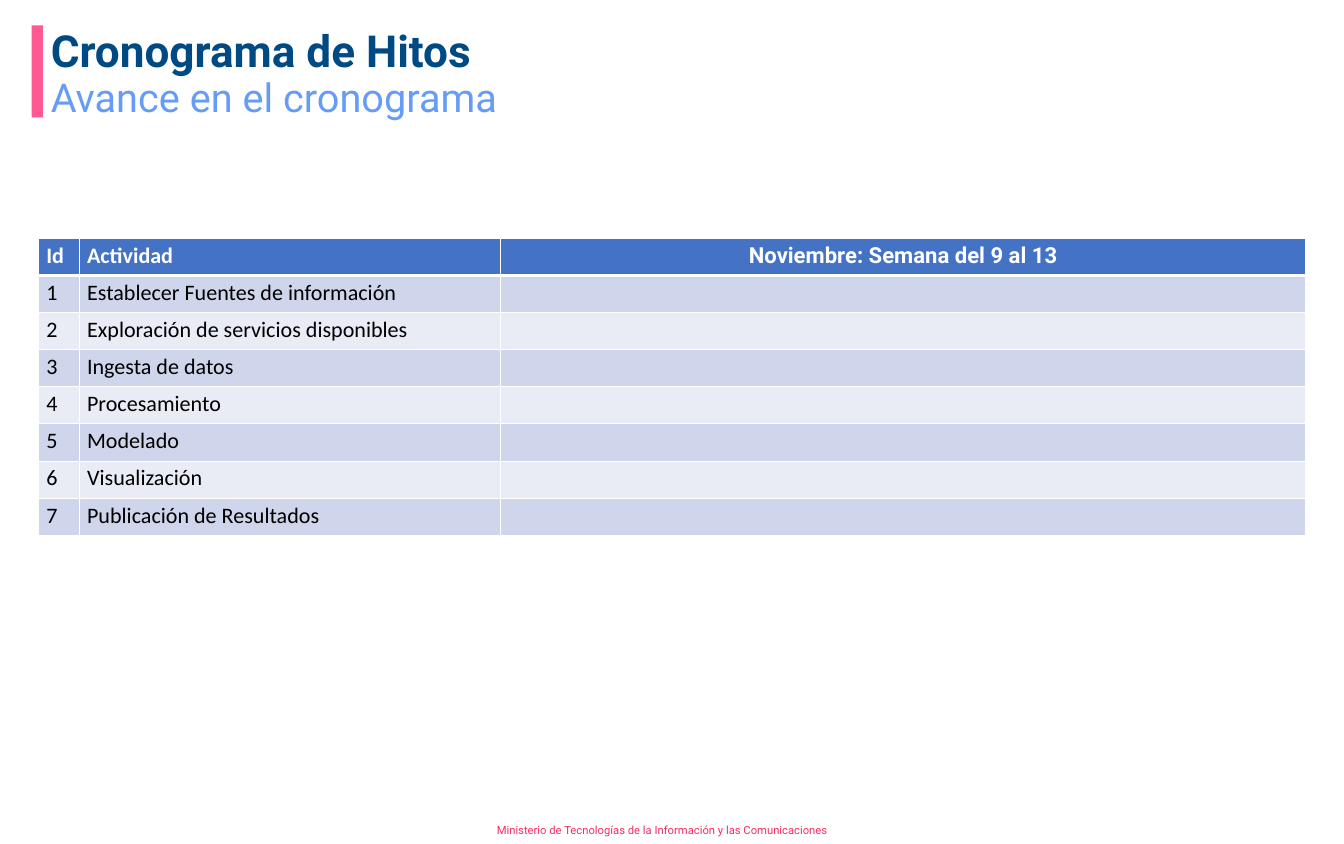
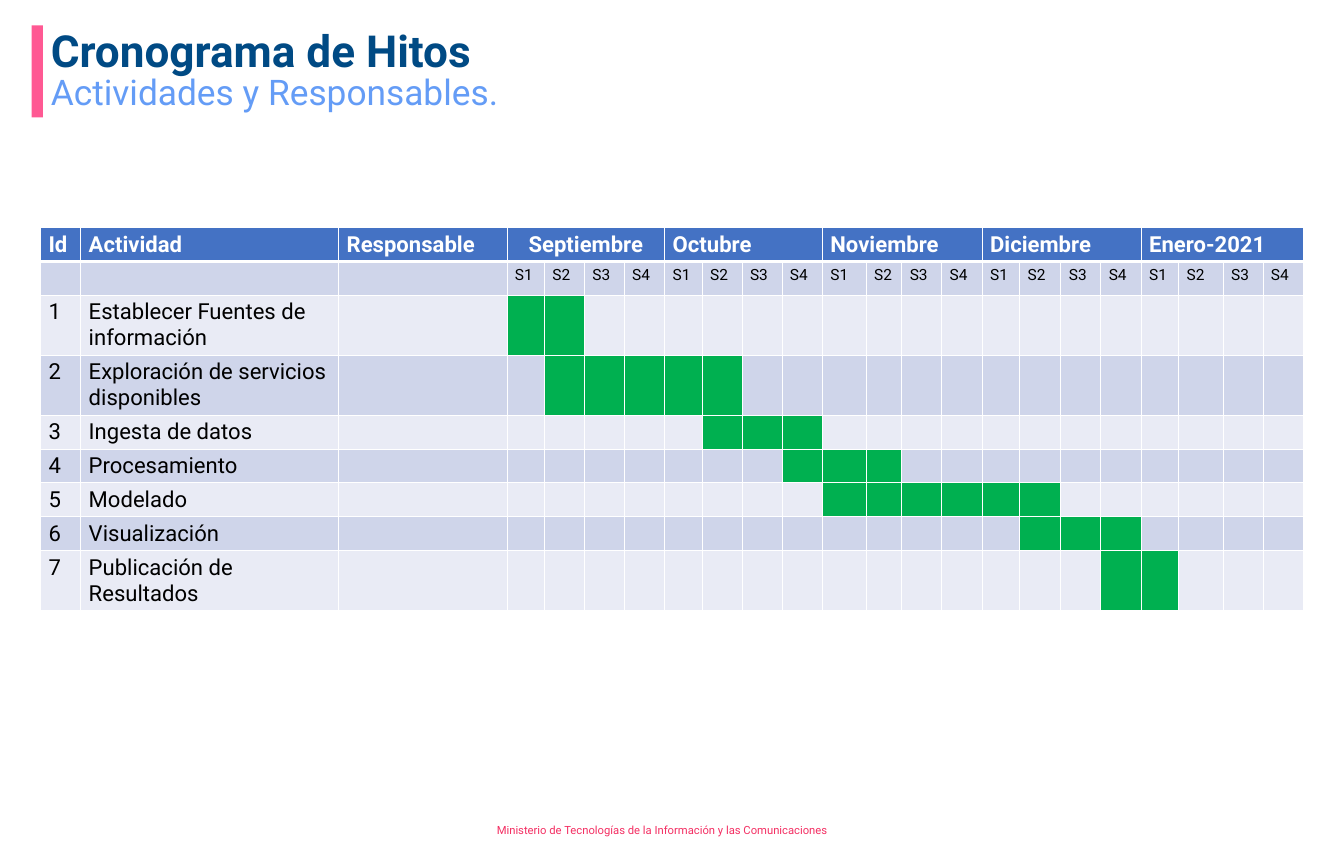
from itertools import chain

from lxml.etree import SubElement
from pptx import Presentation
from pptx.dml.color import RGBColor
from pptx.enum.shapes import MSO_SHAPE as Preset
from pptx.enum.text import MSO_ANCHOR as Anchor, MSO_AUTO_SIZE as AutoSize, PP_ALIGN as Align
from pptx.oxml.ns import qn
from pptx.util import Pt

# Content
TITLE = "Cronograma de Hitos"
MINISTRY = "Ministerio de Tecnologías de la Información y las Comunicaciones"
PROGRESS = {"subtitle": "Avance en el cronograma", "size": 36, "top": 67}
PLAN = {"subtitle": "Actividades y Responsables.", "size": 32, "top": 64.8}
CURRENT_WEEK = "Noviembre: Semana del 9 al 13"
# activity, first week (from 0), number of weeks, lines it takes in the plan
ACTIVITIES = [
    ("Establecer Fuentes de información", 0, 2, 2),
    ("Exploración de servicios disponibles", 1, 5, 2),
    ("Ingesta de datos", 5, 3, 1),
    ("Procesamiento", 7, 3, 1),
    ("Modelado", 8, 6, 1),
    ("Visualización", 13, 3, 1),
    ("Publicación de Resultados", 15, 2, 2),
]
# month, widths of its first two weeks
MONTHS = [
    ("Septiembre", 34, 36.2),
    ("Octubre", 34, 36.2),
    ("Noviembre", 39.6, 32.4),
    ("Diciembre", 34, 37.4),
    ("Enero-2021", 34, 40.3),
]
LAST_WEEKS = (36.2, 36.7)
WEEKS = ["S1", "S2", "S3", "S4"]

# Format
WIDTH, HEIGHT = 1219, 765.4
NAVY, SKY, PINK, RED = "004A84", "649CF6", "FF5993", "F42F63"
WHITE, BLACK, HEADER, GREEN = "FFFFFF", "000000", "4472C4", "00B050"
BANDS = ("E9EBF5", "CFD5EA")
ROBOTO, CALIBRI = "Roboto", "Calibri"
PLAN_LINE, PLAN_DOUBLE, PROGRESS_ROW = 30.6, 54.2, 33.6


def color(hex_code):
    """Turn a hex string into a colour."""
    return RGBColor.from_string(hex_code)


def assign(target, values):
    """Set each attribute named in a dict."""
    for name, value in values.items():
        setattr(target, name, value)


def write(frame, text, size, hex_code, bold=False, font=ROBOTO, align=Align.LEFT):
    """Write one formatted paragraph and return it."""
    paragraph = frame.paragraphs[0]
    paragraph.alignment = align
    run = paragraph.add_run()
    run.text = text
    assign(run.font, {"size": Pt(size), "bold": bold, "name": font})
    run.font.color.rgb = color(hex_code)
    return paragraph


def place(shape, left, top, width, height):
    """Move and size a shape."""
    assign(shape, {"left": Pt(left), "top": Pt(top), "width": Pt(width), "height": Pt(height)})


def decorate(layout, slide):
    """Move the title band and the footer from a slide to its layout."""
    band = slide.shapes.add_shape(Preset.RECTANGLE, Pt(28.8), Pt(23), Pt(10.1), Pt(83.5))
    band.shadow.inherit = False
    band.fill.solid()
    band.fill.fore_color.rgb = color(PINK)
    band.line.fill.background()
    footer = slide.shapes.add_textbox(Pt(443.5), Pt(740.2), Pt(331.2), Pt(25.2))
    assign(footer.text_frame, {"word_wrap": True, "vertical_anchor": Anchor.MIDDLE})
    write(footer.text_frame, MINISTRY, 10.2, RED)
    for shape in (band, footer):
        layout.shapes.element.append(shape.element)


def add_headed_slide(deck, layout, heading):
    """Add a slide with the shared title and its own subtitle."""
    slide = deck.slides.add_slide(layout)
    title, subtitle = slide.shapes.title, slide.placeholders[1]
    place(title, 38.9, 23, 1151.3, 39.6)
    place(subtitle, 38.9, heading["top"], 941.8, 54)
    for holder in (title, subtitle):
        assign(holder.text_frame, {"word_wrap": True, "vertical_anchor": Anchor.TOP,
                                   "auto_size": AutoSize.NONE})
    write(title.text_frame, TITLE, 40, NAVY, bold=True).line_spacing = 0.9
    line = write(subtitle.text_frame, heading["subtitle"], heading["size"], SKY)
    assign(line, {"line_spacing": 0.9, "space_before": Pt(12.7)})
    properties = line._p.get_or_add_pPr()
    properties.set("marL", "0")
    properties.set("indent", "0")
    SubElement(properties, qn("a:buNone"))
    return slide


def style_cell(cell, hex_code, bottom=1):
    """Give a cell white borders and a solid fill."""
    properties = cell._tc.get_or_add_tcPr()
    for side, width in (("L", 1), ("R", 1), ("T", 1), ("B", bottom)):
        border = SubElement(properties, qn("a:ln" + side), w=str(Pt(width)))
        SubElement(SubElement(border, qn("a:solidFill")), qn("a:srgbClr"), val=WHITE)
    cell.fill.solid()
    cell.fill.fore_color.rgb = color(hex_code)


def add_banded_table(slide, left, top, widths, heights):
    """Add a table with a blue header and alternating rows."""
    table = slide.shapes.add_table(len(heights), len(widths), Pt(left), Pt(top),
                                   Pt(sum(widths)), Pt(sum(heights))).table
    for column, width in zip(table.columns, widths):
        column.width = Pt(width)
    for index, (row, height) in enumerate(zip(table.rows, heights)):
        row.height = Pt(height)
        for cell in row.cells:
            if index:
                style_cell(cell, BANDS[index % 2])
            else:
                style_cell(cell, HEADER, bottom=3)
    return table


def fill_header(table, labels, font=ROBOTO):
    """Write the first labels of the header row."""
    for column, label in enumerate(labels):
        write(table.cell(0, column).text_frame, label, 20, WHITE, True, font)


def fill_activities(table, first_row, font=ROBOTO):
    """Write the numbered activities from a given row on."""
    for number, (activity, *_) in enumerate(ACTIVITIES, 1):
        for column, text in enumerate((str(number), activity)):
            cell = table.cell(first_row + number - 1, column)
            write(cell.text_frame, text, 20, BLACK, font=font)


def add_progress(slide):
    """Add the table of progress in the current week."""
    heights = [PROGRESS_ROW] * (len(ACTIVITIES) + 1)
    table = add_banded_table(slide, 34.8, 216.5, [37, 382.4, 730], heights)
    fill_header(table, ["Id", "Actividad"], CALIBRI)
    write(table.cell(0, 2).text_frame, CURRENT_WEEK, 20, WHITE, True, align=Align.CENTER)
    fill_activities(table, 1, CALIBRI)


def add_plan(slide):
    """Add the week-by-week plan of all activities."""
    labels = ["Id", "Actividad", "Responsable"]
    first_week = len(labels)
    week_widths = chain.from_iterable((*pair, *LAST_WEEKS) for _, *pair in MONTHS)
    heights = [PLAN_LINE] * 2 + [PLAN_DOUBLE if lines == 2 else PLAN_LINE
                                 for *_, lines in ACTIVITIES]
    table = add_banded_table(slide, 36.8, 206.5, [36.5, 234, 152.6, *week_widths], heights)
    fill_header(table, labels)
    for index, (month, *_) in enumerate(MONTHS):
        start = first_week + index * len(WEEKS)
        table.cell(0, start).merge(table.cell(0, start + len(WEEKS) - 1))
        align = Align.LEFT if index else Align.CENTER
        write(table.cell(0, start).text_frame, month, 20, WHITE, True, align=align)
        for offset, week in enumerate(WEEKS):
            write(table.cell(1, start + offset).text_frame, week, 14, BLACK)
    fill_activities(table, 2)
    for row, (_, start, duration, _) in enumerate(ACTIVITIES, 2):
        for week in range(start, start + duration):
            table.cell(row, first_week + week).fill.fore_color.rgb = color(GREEN)


def main():
    """Build and save the deck."""
    deck = Presentation()
    assign(deck, {"slide_width": Pt(WIDTH), "slide_height": Pt(HEIGHT)})
    layout = deck.slide_layouts[1]
    progress = add_headed_slide(deck, layout, PROGRESS)
    decorate(layout, progress)
    add_progress(progress)
    add_plan(add_headed_slide(deck, layout, PLAN))
    deck.save("out.pptx")


main()
